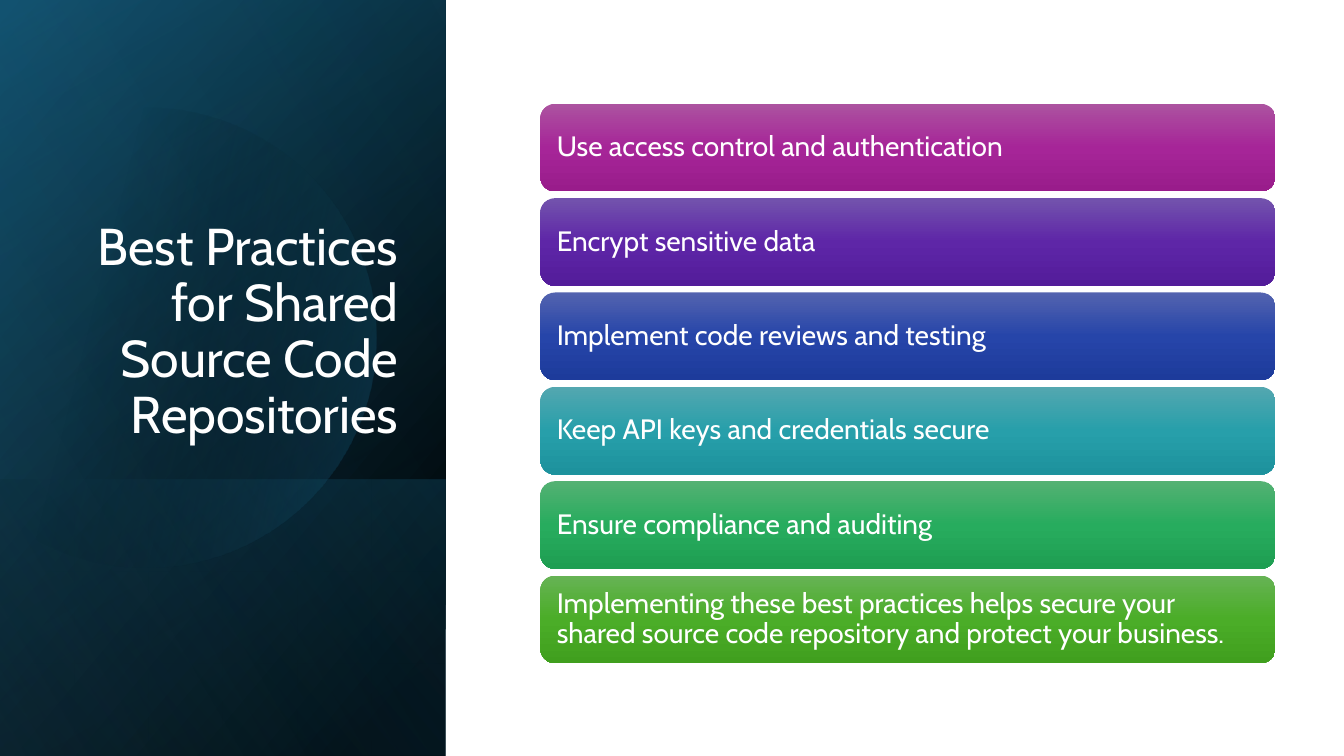
import math
import pptx
import pptx.util
import pptx.dml.color
import pptx.enum.shapes
import pptx.enum.text
import pptx.oxml
import pptx.oxml.ns

TITLE = "Best Practices for Shared Source Code Repositories"
PRACTICES = [
    ("Use access control and authentication", ("AC53A0", "A62598", "991C8B")),
    ("Encrypt sensitive data", ("7353AD", "5E26A7", "531C9A")),
    ("Implement code reviews and testing", ("5363AF", "2645A9", "1D3B9B")),
    ("Keep API keys and credentials secure", ("53A7B0", "279FAA", "1D929D")),
    ("Ensure compliance and auditing", ("54B173", "27AC5E", "1E9E52")),
    ("Implementing these best practices helps secure your shared source code "
     "repository and protect your business.", ("66B354", "4BAD28", "409F1E")),
]
WIDTH, HEIGHT = 13.33, 7.5
PANEL_WIDTH = 4.42
BASE_LAYERS = [
    (0, 50, [(8, "000000", 100), (100, "104862", 100)]),
    (0, 30, [(0, "000000", 0), (99, "156082", 46)]),
    (4.76, 130, [(2, "156082", 29), (100, "000000", 30)]),
]
TOP_LAYER = (0, 120, [(0, "000000", 0), (99, "46B1E1", 11)])
DISC_X, DISC_Y, DISC_RADIUS, DISC_STEPS = 1.45, 3.35, 2.28, 90
DISC_STOPS = [(29, "000000", 0), (100, "156082", 43)]
BAR_LEFT, BAR_TOP, BAR_WIDTH, BAR_HEIGHT = 5.36, 1.03, 7.29, 0.87
BAR_PITCH = 0.936
FONT = "Cabin"

inch = pptx.util.Inches
SHAPE = pptx.enum.shapes.MSO_SHAPE
ANCHOR = pptx.enum.text.MSO_ANCHOR
ALIGN = pptx.enum.text.PP_ALIGN


def color(value):
    return pptx.dml.color.RGBColor.from_string(value)


def paint(sp, stops, angle):
    sp.shadow.inherit = False
    sp.line.fill.background()
    sp.fill.background()
    marks = "".join(
        f'<a:gs pos="{pos * 1000}"><a:srgbClr val="{value}">'
        f'<a:alpha val="{alpha * 1000}"/></a:srgbClr></a:gs>'
        for pos, value, alpha in stops)
    gradient = pptx.oxml.parse_xml(
        f'<a:gradFill {pptx.oxml.ns.nsdecls("a")} rotWithShape="1">'
        f'<a:gsLst>{marks}</a:gsLst><a:lin ang="{angle * 60000}" scaled="0"/></a:gradFill>')
    props = sp._element.spPr
    props.replace(props.find(pptx.oxml.ns.qn("a:noFill")), gradient)


def add_layer(s, top, angle, stops):
    height = HEIGHT - top
    left = (PANEL_WIDTH - height) / 2
    turned_top = top + (height - PANEL_WIDTH) / 2
    sp = s.shapes.add_shape(SHAPE.RECTANGLE, inch(left), inch(turned_top),
                            inch(height), inch(PANEL_WIDTH))
    sp.rotation = 90
    sp._element.spPr.xfrm.set("flipH", "1")
    paint(sp, stops, angle)


def add_disc(s):
    reach = math.acos(-DISC_X / DISC_RADIUS)
    angles = [reach * (2 * i / DISC_STEPS - 1) for i in range(DISC_STEPS + 1)]
    points = [(inch(DISC_X + DISC_RADIUS * math.cos(a)),
               inch(DISC_Y + DISC_RADIUS * math.sin(a))) for a in angles]
    builder = s.shapes.build_freeform(*points[0])
    builder.add_line_segments(points[1:], close=True)
    paint(builder.convert_to_shape(), DISC_STOPS, 14)


def write(sp, text, size, align, anchor):
    tf = sp.text_frame
    tf.word_wrap = True
    tf.vertical_anchor = anchor
    p = tf.paragraphs[0]
    p.alignment = align
    p.line_spacing = 0.9
    r = p.add_run()
    r.text = text
    r.font.name = FONT
    r.font.size = pptx.util.Pt(size)
    r.font.color.rgb = color("FFFFFF")
    return tf


def add_bar(s, row, text, shades):
    sp = s.shapes.add_shape(SHAPE.ROUNDED_RECTANGLE, inch(BAR_LEFT),
                            inch(BAR_TOP + row * BAR_PITCH),
                            inch(BAR_WIDTH), inch(BAR_HEIGHT))
    paint(sp, [(50 * i, shade, 100) for i, shade in enumerate(shades)], 90)
    tf = write(sp, text, 20, ALIGN.LEFT, ANCHOR.MIDDLE)
    tf.margin_left = tf.margin_right = inch(0.12)
    tf.margin_top = tf.margin_bottom = inch(0.08)


def main():
    prs = pptx.Presentation()
    prs.slide_width, prs.slide_height = inch(WIDTH), inch(HEIGHT)
    s = prs.slides.add_slide(prs.slide_layouts[6])
    for layer in BASE_LAYERS:
        add_layer(s, *layer)
    add_disc(s)
    add_layer(s, *TOP_LAYER)
    title = s.shapes.add_textbox(inch(0.64), inch(1.84), inch(3.41), inch(2.62))
    write(title, TITLE, 37, ALIGN.RIGHT, ANCHOR.BOTTOM)
    for row, (text, shades) in enumerate(PRACTICES):
        add_bar(s, row, text, shades)
    prs.save("out.pptx")


if __name__ == "__main__":
    main()
